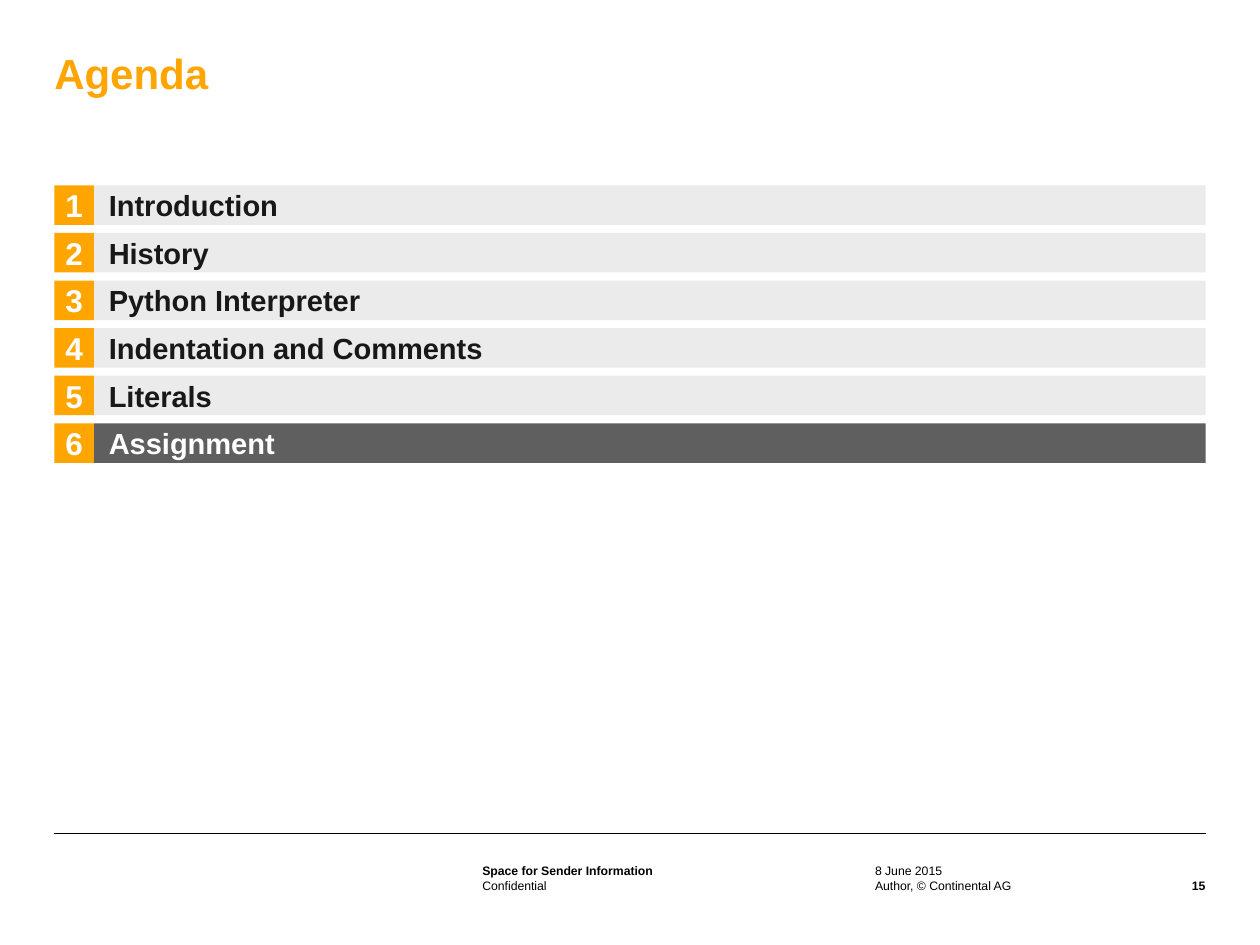
from dataclasses import dataclass

from lxml import etree
from pptx import Presentation
from pptx.dml.color import RGBColor
from pptx.enum.shapes import MSO_CONNECTOR, MSO_SHAPE
from pptx.enum.text import MSO_ANCHOR, MSO_AUTO_SIZE, PP_ALIGN
from pptx.oxml.ns import qn
from pptx.util import Pt

RECT = MSO_SHAPE.RECTANGLE
STRAIGHT = MSO_CONNECTOR.STRAIGHT
TOP, MIDDLE, BOTTOM = MSO_ANCHOR.TOP, MSO_ANCHOR.MIDDLE, MSO_ANCHOR.BOTTOM
LEFT, CENTER, RIGHT = PP_ALIGN.LEFT, PP_ALIGN.CENTER, PP_ALIGN.RIGHT
FIXED = MSO_AUTO_SIZE.NONE


@dataclass(frozen=True)
class Theme:
    face: str = "Arial"
    accent: str = "FFA500"
    pale: str = "EBEBEB"
    dark: str = "5F5F5F"
    ink: str = "181818"
    black: str = "000000"
    white: str = "FFFFFF"
    title: float = 24
    number: float = 18
    topic: float = 16.6
    small: float = 7
    rule: float = 0.35


class Page:
    def __init__(self, deck, theme):
        self.theme = theme
        self.slide = deck.slides.add_slide(deck.slide_layouts[5])

    def letter(self, shape, text, size, color, bold=True, align=LEFT,
               anchor=TOP, pads=(0, 0, 0, 0)):
        """Fill a shape with one line; pads run left, top, right, bottom."""
        left, top, right, bottom = map(Pt, pads)
        frame = shape.text_frame
        form = {"auto_size": FIXED, "word_wrap": True,
                "vertical_anchor": anchor, "margin_left": left,
                "margin_top": top, "margin_right": right,
                "margin_bottom": bottom}
        for name, value in form.items():
            setattr(frame, name, value)
        line = frame.paragraphs[0]
        line.text = text
        line.alignment = align
        font = line.runs[0].font
        form = {"name": self.theme.face, "size": Pt(size), "bold": bold}
        for name, value in form.items():
            setattr(font, name, value)
        font.color.rgb = RGBColor.from_string(color)

    def title(self, box, text):
        shape = self.slide.shapes.title
        for name, value in zip(("left", "top", "width", "height"), box):
            setattr(shape, name, Pt(value))
        self.letter(shape, text, self.theme.title, self.theme.accent,
                    pads=(0, 3, 0, 0))

    def label(self, box, text, **form):
        shape = self.slide.shapes.add_textbox(*map(Pt, box))
        self.letter(shape, text, self.theme.small, self.theme.black, **form)

    def block(self, box, fill, text, size, color, **form):
        shape = self.slide.shapes.add_shape(RECT, *map(Pt, box))
        shape.shadow.inherit = False
        shape.fill.solid()
        shape.fill.fore_color.rgb = RGBColor.from_string(fill)
        shape.line.fill.background()
        self.letter(shape, text, size, color, anchor=MIDDLE, **form)

    def rule(self, start, end):
        line = self.slide.shapes.add_connector(
            STRAIGHT, *map(Pt, (*start, *end)))
        line.line.width = Pt(self.theme.rule)
        line.line.color.rgb = RGBColor.from_string(self.theme.black)
        etree.SubElement(line._element.spPr, qn("a:effectLst"))


def agenda(page, topics, active):
    """Stack numbered bars and darken the active one."""
    theme = page.theme
    left, top, right, side, pitch = 31, 105.9, 689, 22.6, 27.2
    start = left + side
    for index, topic in enumerate(topics):
        y = top + index * pitch
        live = topic == active
        page.block((start, y, right - start, side),
                   theme.dark if live else theme.pale, topic, theme.topic,
                   theme.white if live else theme.ink,
                   pads=(8.6, 3, 332, 3))
        page.block((left, y, side, side), theme.accent, str(index + 1),
                   theme.number, theme.white, align=CENTER,
                   pads=(3, 3, 3, 3))


def footer(page):
    sender, author, upper, lower = 275.6, 500, 491, 502
    page.rule((31, 476), (689, 476))
    page.label((sender, lower, 214.6, 10), "Confidential", bold=False)
    page.label((sender, upper, 214.6, 11), "Space for Sender Information",
               anchor=BOTTOM)
    page.label((author, upper, 157.7, 11), "8 June 2015", bold=False,
               anchor=BOTTOM)
    page.label((author, lower, 157.7, 11), "Author, © Continental AG",
               bold=False)
    page.label((660.5, lower, 28.3, 11), "15", align=RIGHT)


def main():
    deck = Presentation()
    deck.slide_width, deck.slide_height = Pt(720), Pt(540)
    page = Page(deck, Theme())
    footer(page)
    page.title((31, 24, 669, 28.8), "Agenda")
    agenda(page, ("Introduction", "History", "Python Interpreter",
                  "Indentation and Comments", "Literals", "Assignment"),
           active="Assignment")
    deck.save("out.pptx")


if __name__ == "__main__":
    main()
